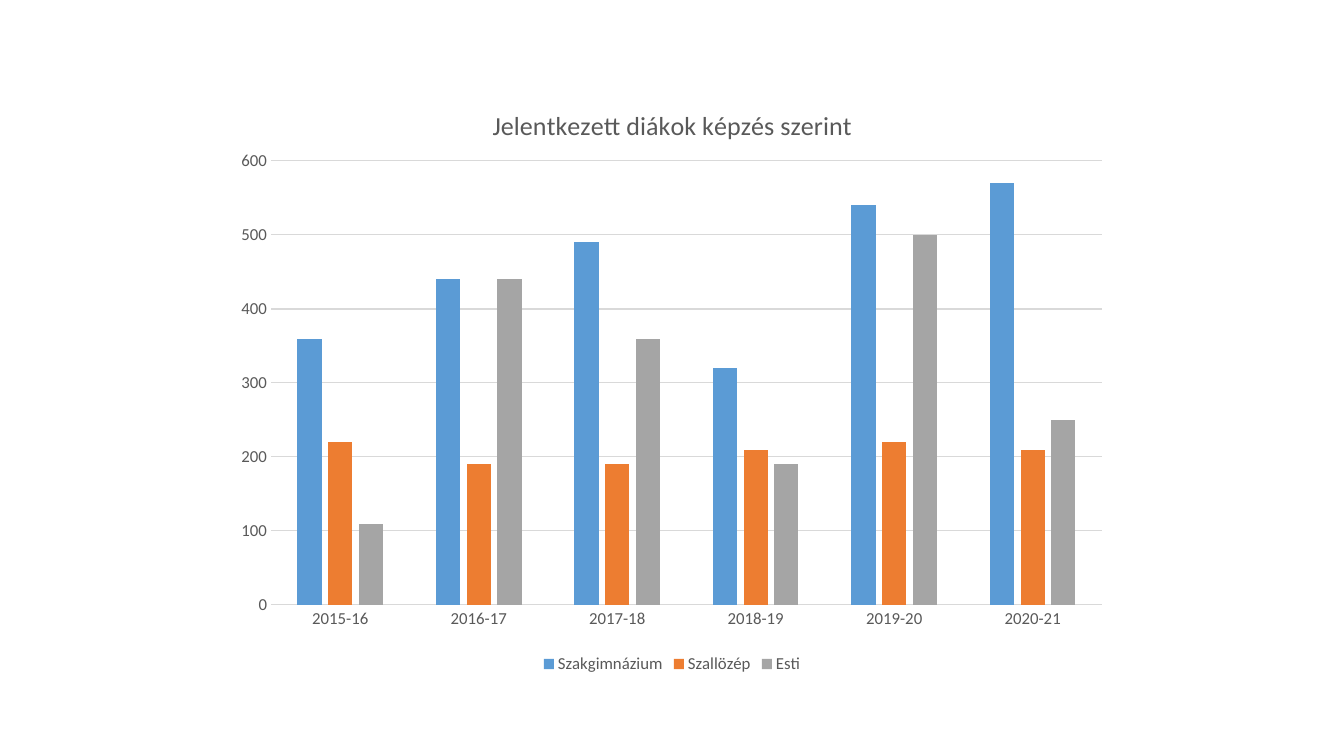
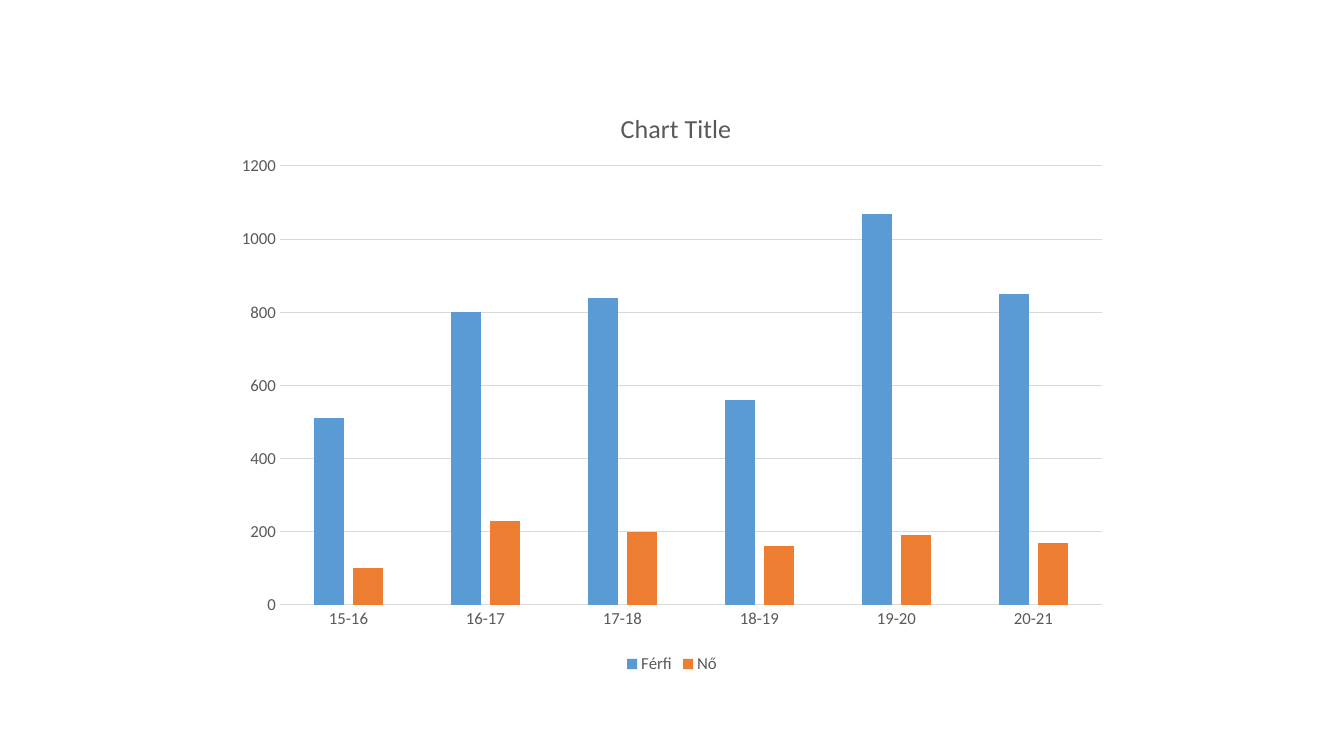
from dataclasses import dataclass

from lxml import etree
from pptx import Presentation
from pptx.chart.data import CategoryChartData
from pptx.dml.color import RGBColor
from pptx.enum.chart import XL_CHART_TYPE, XL_LEGEND_POSITION, XL_TICK_MARK
from pptx.oxml.ns import qn
from pptx.util import Emu, Pt

EMU_PER_PX = 914400 / 100.8
SLIDE_SIZE = (1344, 756)
CHART_BOX = (224, 80, 896, 598)
PLOT_RIGHT, PLOT_BOTTOM = 1102, 605


@dataclass(frozen=True)
class Theme:
    font: str = "Calibri"
    text: str = "595959"
    line: str = "D9D9D9"
    background: str = "FFFFFF"
    series: tuple = ("5B9BD5", "ED7D31", "A5A5A5")
    title_size: float = 18.6
    label_size: float = 12
    line_width: float = 0.75


THEME = Theme()


def px(value):
    return Emu(round(value * EMU_PER_PX))


def rgb(value):
    return RGBColor.from_string(value)


def style_font(font, size):
    font.name = THEME.font
    font.size = Pt(size)
    font.bold = False
    font.color.rgb = rgb(THEME.text)


def style_line(line):
    line.color.rgb = rgb(THEME.line)
    line.width = Pt(THEME.line_width)


def manual_layout(layout, left, top, right=None, bottom=None):
    for child in list(layout):
        layout.remove(child)
    box_left, box_top, box_width, box_height = CHART_BOX
    settings = {"xMode": "edge", "yMode": "edge",
                "x": (left - box_left) / box_width,
                "y": (top - box_top) / box_height}
    if right is not None:
        settings = {"layoutTarget": "inner", **settings,
                    "w": (right - left) / box_width,
                    "h": (bottom - top) / box_height}
    manual = etree.SubElement(layout, qn("c:manualLayout"))
    for name, value in settings.items():
        text = value if isinstance(value, str) else f"{value:.4f}"
        etree.SubElement(manual, qn(f"c:{name}")).set("val", text)


def add_title(chart, text, position):
    frame = chart.chart_title.text_frame
    frame.text = text
    style_font(frame.paragraphs[0].runs[0].font, THEME.title_size)
    chart.chart_title.include_in_layout = False
    title = chart.chart_title._element
    layout = title.find(qn("c:layout"))
    if layout is None:
        layout = etree.Element(qn("c:layout"))
        title.find(qn("c:tx")).addnext(layout)
    manual_layout(layout, *position)


def place_plot(chart, left, top):
    area = chart._chartSpace.find(".//" + qn("c:plotArea"))
    layout = area.find(qn("c:layout"))
    if layout is None:
        layout = etree.Element(qn("c:layout"))
        area.insert(0, layout)
    manual_layout(layout, left, top, PLOT_RIGHT, PLOT_BOTTOM)


def style_axes(chart, maximum, step):
    for axis in (chart.category_axis, chart.value_axis):
        axis.major_tick_mark = axis.minor_tick_mark = XL_TICK_MARK.NONE
        style_font(axis.tick_labels.font, THEME.label_size)
    style_line(chart.category_axis.format.line)
    values = chart.value_axis
    values.minimum_scale, values.maximum_scale = 0, maximum
    values.major_unit = step
    values.format.line.fill.background()
    values.has_major_gridlines = True
    style_line(values.major_gridlines.format.line)


def add_legend(chart):
    chart.has_legend = True
    chart.legend.position = XL_LEGEND_POSITION.BOTTOM
    chart.legend.include_in_layout = False
    style_font(chart.legend.font, THEME.label_size)


def add_column_chart(slide, title, title_at, plot_at, scale, categories, series):
    data = CategoryChartData()
    data.categories = categories
    for name, values in series.items():
        data.add_series(name, values)
    chart = slide.shapes.add_chart(
        XL_CHART_TYPE.COLUMN_CLUSTERED, *map(px, CHART_BOX), data).chart
    style_font(chart.font, THEME.label_size)
    plot = chart.plots[0]
    plot.gap_width, plot.overlap = 219, -27
    plot.vary_by_categories = False
    for bars, color in zip(plot.series, THEME.series):
        bars.format.fill.solid()
        bars.format.fill.fore_color.rgb = rgb(color)
        bars.invert_if_negative = False
    add_title(chart, title, title_at)
    place_plot(chart, *plot_at)
    style_axes(chart, *scale)
    add_legend(chart)


def add_slide(prs):
    slide = prs.slides.add_slide(prs.slide_layouts[6])
    slide.background.fill.solid()
    slide.background.fill.fore_color.rgb = rgb(THEME.background)
    return slide


def main():
    prs = Presentation()
    prs.slide_width, prs.slide_height = map(px, SLIDE_SIZE)
    years = [f"{year}-{year + 1}" for year in range(15, 21)]
    add_column_chart(
        add_slide(prs), "Jelentkezett diákok képzés szerint",
        (488, 102), (271, 161), (600, 100),
        [f"20{year}" for year in years],
        {"Szakgimnázium": (360, 440, 490, 320, 540, 570),
         "Szallözép": (220, 190, 190, 210, 220, 210),
         "Esti": (110, 440, 360, 190, 500, 250)})
    add_column_chart(
        add_slide(prs), "Chart Title",
        (616, 105), (280, 166), (1200, 200), years,
        {"Férfi": (510, 800, 840, 560, 1070, 850),
         "Nő": (100, 230, 200, 160, 190, 170)})
    prs.save("out.pptx")


main()
